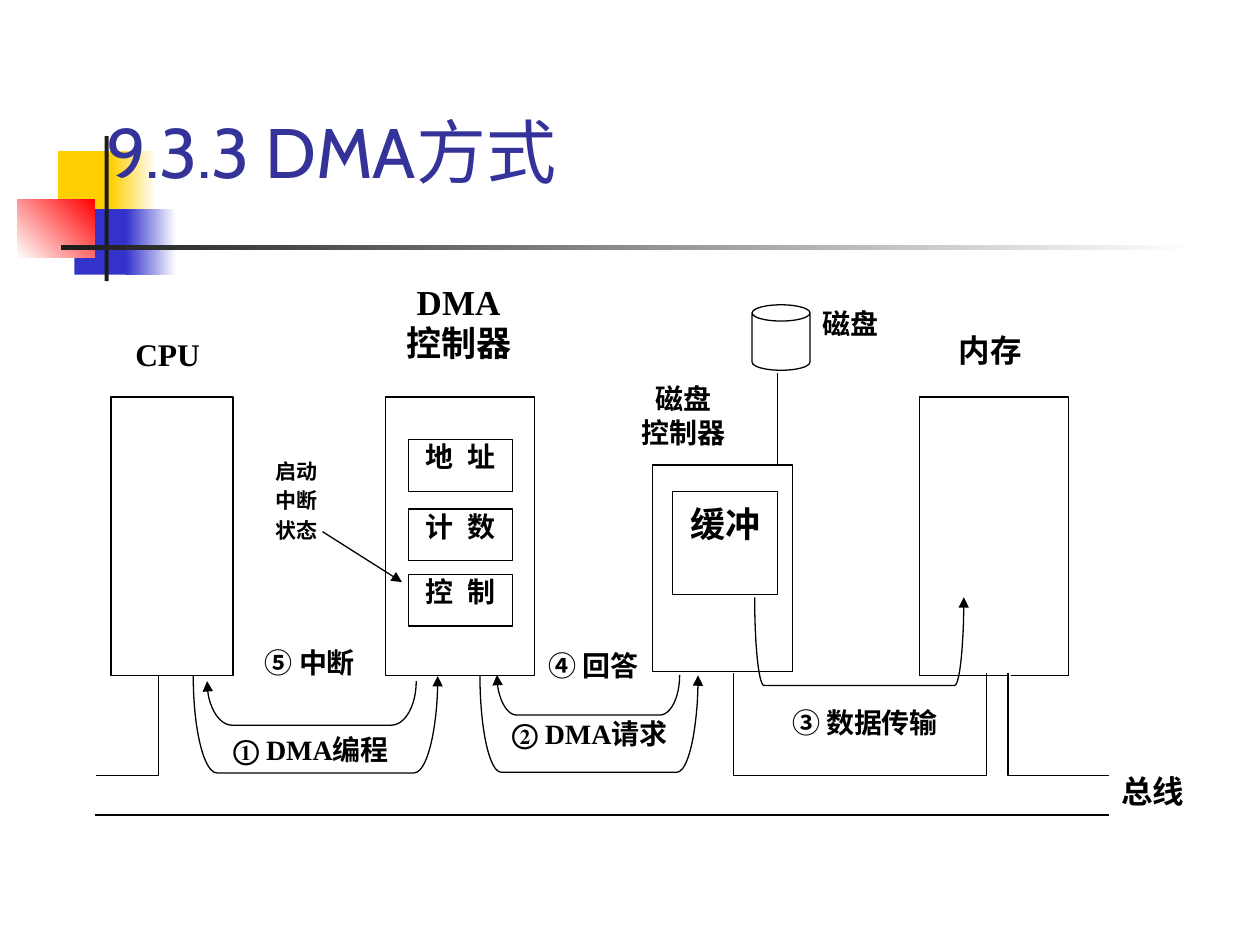
from lxml.etree import SubElement
from pptx import Presentation
from pptx.dml.color import RGBColor
from pptx.enum.shapes import MSO_CONNECTOR, MSO_SHAPE
from pptx.enum.text import MSO_ANCHOR, PP_ALIGN
from pptx.oxml.ns import qn
from pptx.util import Pt

BLACK = RGBColor(0x00, 0x00, 0x00)
WHITE = RGBColor(0xFF, 0xFF, 0xFF)
CHARCOAL = RGBColor(0x1C, 0x1C, 0x1C)
YELLOW = RGBColor(0xFF, 0xCF, 0x01)
BLUE = RGBColor(0x33, 0x33, 0xCC)
RED = RGBColor(0xFF, 0x00, 0x00)
TITLE_BLUE = RGBColor(0x33, 0x33, 0x99)


def write_text(shape, text, size=16, font="Times New Roman", color=BLACK, bold=True,
               align=PP_ALIGN.CENTER, anchor=MSO_ANCHOR.TOP, insets=(1.4, 0.7, 1.4, 0.7),
               line_spacing=None, space_before=0, letter_spacing=0):
    """Fill a shape with one paragraph per line; insets are left, top, right, bottom."""
    frame = shape.text_frame
    frame.word_wrap = True
    frame.vertical_anchor = anchor
    frame.margin_left, frame.margin_top, frame.margin_right, frame.margin_bottom = map(Pt, insets)
    for index, line in enumerate(text.split("\n")):
        paragraph = frame.add_paragraph() if index else frame.paragraphs[0]
        paragraph.alignment = align
        if line_spacing:
            paragraph.line_spacing = line_spacing
        if index and space_before:
            paragraph.space_before = Pt(space_before)
        run = paragraph.add_run()
        run.text = line
        run.font.name = font
        run.font.size = Pt(size)
        run.font.bold = bold
        run.font.color.rgb = color
        if letter_spacing:
            run.font._element.set("spc", str(letter_spacing * 100))


class Diagram:
    def __init__(self, slide, line_width=0.75):
        self.slide = slide
        self.line_width = line_width

    def style(self, shape, fill=WHITE, outlined=True):
        shape.shadow.inherit = False
        if fill is None:
            shape.fill.background()
        else:
            shape.fill.solid()
            shape.fill.fore_color.rgb = fill
        if outlined:
            self.stroke(shape)
        else:
            shape.line.fill.background()

    def stroke(self, shape, head=False, tail=False):
        shape.line.color.rgb = BLACK
        shape.line.width = Pt(self.line_width)
        line = shape.line._get_or_add_ln()
        for wanted, tag in ((head, "a:headEnd"), (tail, "a:tailEnd")):
            if wanted:
                SubElement(line, qn(tag)).set("type", "triangle")

    def box(self, left, top, width, height, kind=MSO_SHAPE.RECTANGLE, fill=WHITE, outlined=True):
        shape = self.slide.shapes.add_shape(kind, Pt(left), Pt(top), Pt(width), Pt(height))
        self.style(shape, fill, outlined)
        return shape

    def gradient(self, left, top, width, height, start, end, angle=0):
        shape = self.box(left, top, width, height, outlined=False)
        shape.fill.gradient()
        shape.fill.gradient_angle = angle
        for stop, color in zip(shape.fill.gradient_stops, (start, end)):
            stop.color.rgb = color

    def label(self, left, top, width, height, text, **text_format):
        write_text(self.box(left, top, width, height, outlined=False), text, **text_format)

    def text(self, left, top, width, height, text, **text_format):
        shape = self.slide.shapes.add_textbox(Pt(left), Pt(top), Pt(width), Pt(height))
        write_text(shape, text, **text_format)

    def line(self, start, end, tail=False):
        connector = self.slide.shapes.add_connector(
            MSO_CONNECTOR.STRAIGHT, *map(Pt, (*start, *end)))
        self.stroke(connector, tail=tail)
        SubElement(connector._element.spPr, qn("a:effectLst"))

    def polyline(self, points, fill=WHITE):
        corners = [(Pt(x), Pt(y)) for x, y in points]
        builder = self.slide.shapes.build_freeform(*corners[0], scale=1.0)
        builder.add_line_segments(corners[1:], close=False)
        self.style(builder.convert_to_shape(), fill)

    def bracket(self, left, top, width, height, corner, head=False, tail=False, fill=WHITE):
        """Draw a U-shaped arrow: a left bracket turned so that it opens upwards."""
        shift = (width - height) / 2
        shape = self.box(left + shift, top - shift, height, width, MSO_SHAPE.LEFT_BRACKET, fill)
        shape.adjustments[0] = corner
        shape.rotation = 90
        shape._element.spPr.find(qn("a:xfrm")).set("flipH", "1")
        self.stroke(shape, head, tail)


def draw_decoration(diagram):
    diagram.box(33.1, 86.4, 34.6, 37.4, fill=YELLOW, outlined=False)
    diagram.gradient(63.4, 86.4, 25.9, 37.4, YELLOW, WHITE)
    diagram.box(42.5, 119.5, 33.1, 37.4, fill=BLUE, outlined=False)
    diagram.gradient(72, 119.5, 28.8, 37.4, BLUE, WHITE)
    diagram.gradient(10, 113.8, 44, 33.1, WHITE, RED, angle=45)
    diagram.box(59.8, 77.8, 2.3, 82.8, fill=CHARCOAL, outlined=False)
    diagram.gradient(34.6, 140.2, 648, 2.5, CHARCOAL, WHITE)
    diagram.text(54, 36, 612, 77.8, "9.3.3 DMA方式", size=40, font="Cabin", color=TITLE_BLUE,
                 bold=False, align=PP_ALIGN.LEFT, anchor=MSO_ANCHOR.BOTTOM,
                 insets=(7.2, 3.6, 7.2, 3.6))


def draw_devices(diagram):
    diagram.label(448.6, 402.5, 91.4, 29.5, "③ 数据传输", insets=(0, 0.7, 0, 0.7))
    diagram.label(67.7, 190.8, 56.2, 31, "CPU", size=18)
    diagram.label(229.7, 162, 64.8, 54, "DMA\n控制器", size=20, line_spacing=0.96,
                  insets=(1.4, 0, 1.4, 0))
    diagram.label(533.5, 188.6, 64.8, 33.1, "内存", size=18)
    diagram.box(525.6, 226.8, 85, 159.1)
    for top, name in ((251.3, "地 址"), (290.9, "计 数"), (328.3, "控 制")):
        register = diagram.box(233.3, top, 59.8, 29.5)
        write_text(register, name, letter_spacing=2, insets=(1.4, 0, 1.4, 0))
    buffer = diagram.box(384.5, 280.8, 59.8, 59)
    write_text(buffer, "缓冲", size=20, insets=(1.4, 6.5, 1.4, 3.6))
    disk = diagram.box(429.8, 174.2, 33.1, 37.4, MSO_SHAPE.CAN)
    disk.adjustments[0] = 0.28
    diagram.line((444.2, 213.1), (444.2, 265.7))
    diagram.label(468.7, 174.2, 43.9, 37.4, "磁盘", align=PP_ALIGN.JUSTIFY)


def draw_bus(diagram):
    top, bottom = 384.5, 443
    diagram.polyline([(90.7, top), (90.7, bottom), (54.7, bottom)])
    diagram.polyline([(419, top), (419, bottom), (563.8, bottom), (563.8, top)], fill=None)
    diagram.polyline([(576, top), (576, bottom), (633.6, bottom)])
    diagram.line((54, 465.8), (633.6, 465.8))


def draw_transfers(diagram):
    diagram.bracket(110.5, 386.3, 139.7, 55.4, 0.246, tail=True)
    diagram.bracket(431.3, 341.3, 119.5, 50.4, 0.106, tail=True, fill=None)
    diagram.bracket(118.4, 389.2, 119.5, 25.2, 0.566, head=True)
    diagram.label(140.4, 367.9, 73.4, 28.8, "⑤ 中断")
    diagram.label(284.4, 409, 105.1, 23, "② DMA请求")
    diagram.bracket(284, 385.6, 104.4, 23, 0.495, head=True)
    diagram.text(639.4, 440.6, 51.1, 39.6, "总线", size=18, align=PP_ALIGN.JUSTIFY)
    diagram.bracket(274.3, 385.9, 124.6, 55.4, 0.22, tail=True, fill=None)
    diagram.label(361.4, 217.4, 58.3, 46.8, "磁盘\n控制器")
    diagram.label(306.7, 370.1, 64.8, 29.5, "④ 回答")
    diagram.label(131.8, 417.6, 95.8, 23, "① DMA编程", align=PP_ALIGN.JUSTIFY)


def draw_controllers(diagram):
    diagram.box(63.4, 226.8, 69.8, 159.1)
    diagram.box(220.3, 226.8, 85, 159.1, fill=None)
    diagram.box(373, 265.7, 79.9, 118.1, fill=None)
    diagram.text(150.5, 258.5, 51.1, 56.2, "启动\n中断\n状态", size=12, font="Cabin",
                 align=PP_ALIGN.LEFT, insets=(7.2, 3.6, 7.2, 3.6), space_before=2.4)
    diagram.line((184.3, 303.8), (229.7, 332.6), tail=True)


def main():
    presentation = Presentation()
    presentation.slide_width, presentation.slide_height = Pt(720), Pt(540)
    diagram = Diagram(presentation.slides.add_slide(presentation.slide_layouts[6]))
    draw_decoration(diagram)
    draw_devices(diagram)
    draw_bus(diagram)
    draw_transfers(diagram)
    draw_controllers(diagram)
    presentation.save("out.pptx")


if __name__ == "__main__":
    main()
